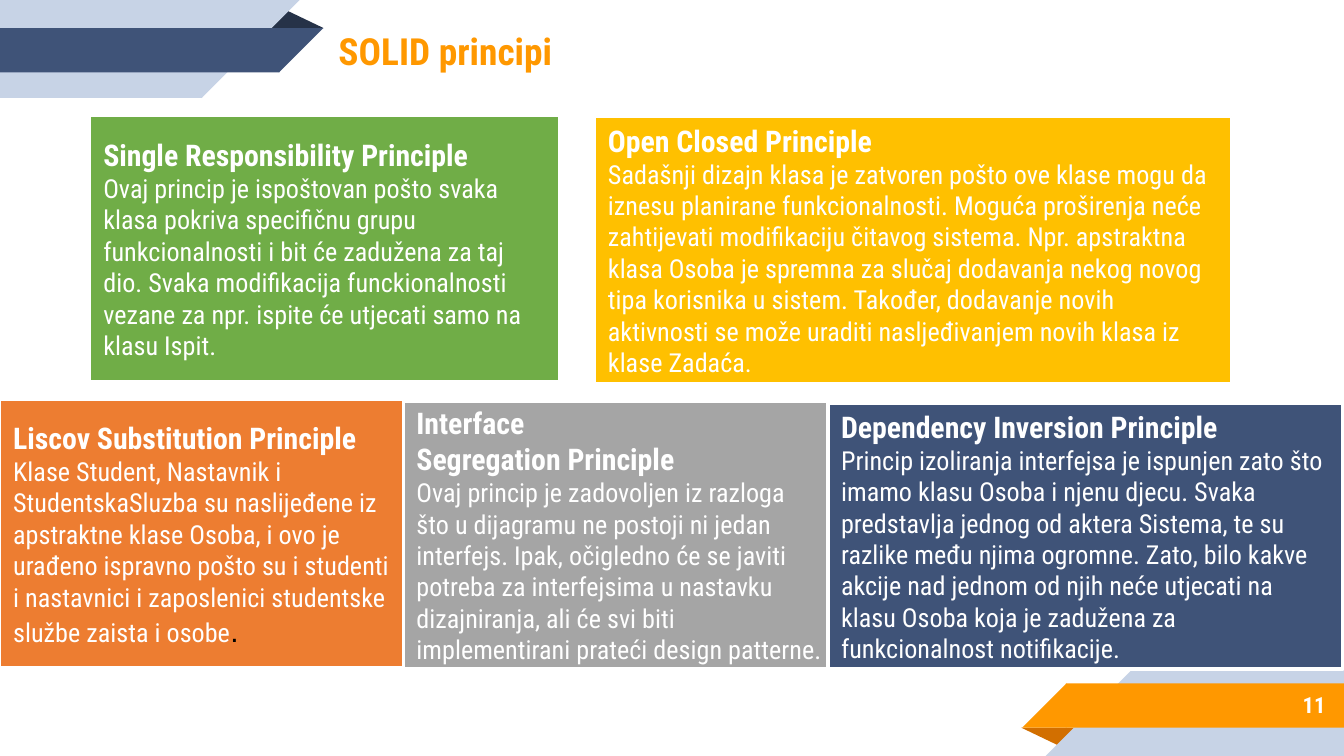
import pptx
import pptx.dml.color
import pptx.enum.shapes
import pptx.enum.text
import pptx.util

SCALE = 4572
HUES = {
    "white": "FFFFFF", "black": "000000", "pale": "C7D3E6", "navy": "3F5378",
    "night": "263248", "amber": "FF9800", "rust": "D26F00", "green": "70AD47",
    "gold": "FFC000", "coral": "ED7D31", "grey": "A5A5A5",
}
FONT = "Roboto Condensed"
HEAD = {"size": 16, "bold": True, "name": FONT, "hue": "white"}
BODY = {"size": 14, "bold": False, "name": FONT, "hue": "white"}
DOT = {"size": 16, "bold": False, "name": "Arial", "hue": "black"}
TITLE = {"size": 20, "bold": True, "name": FONT, "hue": "amber"}
PAGE = {"size": 12, "bold": True, "name": FONT, "hue": "white"}

SHAPE = pptx.enum.shapes.MSO_SHAPE
ALIGN = pptx.enum.text.PP_ALIGN
MIDDLE = pptx.enum.text.MSO_ANCHOR.MIDDLE

CARDS = [
    ((134, 172, 699, 396), "green", 1.5, ["Single Responsibility Principle"],
     "Ovaj princip je ispoštovan pošto svaka klasa pokriva specifičnu grupu "
     "funkcionalnosti i bit će zadužena za taj dio. Svaka modifikacija "
     "funckionalnosti vezane za npr. ispite će utjecati samo na klasu Ispit.", ""),
    ((885, 174, 947, 396), "gold", 1, ["Open Closed Principle"],
     "Sadašnji dizajn klasa je zatvoren pošto ove klase mogu da iznesu planirane "
     "funkcionalnosti. Moguća proširenja neće zahtijevati modifikaciju čitavog "
     "sistema. Npr. apstraktna klasa Osoba je spremna za slučaj dodavanja nekog "
     "novog tipa korisnika u sistem. Također, dodavanje novih aktivnosti se može "
     "uraditi nasljeđivanjem novih klasa iz klase Zadaća.", ""),
    ((0, 596, 600, 397), "coral", 1, ["Liscov Substitution Principle"],
     "Klase Student, Nastavnik i StudentskaSluzba su naslijeđene iz apstraktne "
     "klase Osoba, i ovo je urađeno ispravno pošto su i studenti i nastavnici i "
     "zaposlenici studentske službe zaista i osobe", "."),
    ((600, 597, 644, 398), "grey", 1.5, ["Interface", "Segregation Principle"],
     "Ovaj princip je zadovoljen iz razloga što u dijagramu ne postoji ni jedan "
     "interfejs. Ipak, očigledno će se javiti potreba za interfejsima u nastavku "
     "dizajniranja, ali će svi biti implementirani prateći design patterne.", ""),
    ((1232, 600, 766, 396), "navy", 2, ["Dependency Inversion Principle"],
     "Princip izoliranja interfejsa je ispunjen zato što imamo klasu Osoba i njenu "
     "djecu. Svaka predstavlja jednog od aktera Sistema, te su razlike među njima "
     "ogromne. Zato, bilo kakve akcije nad jednom od njih neće utjecati na klasu "
     "Osoba koja je zadužena za funkcionalnost notifikacije.", ""),
]


def px(count):
    return pptx.util.Emu(count * SCALE)


def tint(name):
    return pptx.dml.color.RGBColor.from_string(HUES[name])


def block(slide, kind, box, hue):
    shape = slide.shapes.add_shape(kind, *map(px, box))
    shape.shadow.inherit = False
    shape.fill.solid()
    shape.fill.fore_color.rgb = tint(hue)
    shape.line.fill.background()
    return shape


def write(frame, paras, align=ALIGN.LEFT):
    for key, value in {"word_wrap": True, "vertical_anchor": MIDDLE}.items():
        setattr(frame, key, value)
    for index, runs in enumerate(paras):
        para = frame.add_paragraph() if index else frame.paragraphs[0]
        para.alignment = align
        for text, style in runs:
            run = para.add_run()
            run.text = text
            form = dict(style)
            run.font.color.rgb = tint(form.pop("hue"))
            form["size"] = pptx.util.Pt(form["size"])
            for key, value in form.items():
                setattr(run.font, key, value)


def ribbon(slide, box, fold, band, turned):
    left, top, width, height = box
    parts = [
        (SHAPE.ISOSCELES_TRIANGLE, (396, 14, 86, 28), fold, 0),
        (SHAPE.RECTANGLE, (0, 0, 301, 146), "pale", 0),
        (SHAPE.RIGHT_TRIANGLE, (300, 0, 146, 146), "pale", 90),
        (SHAPE.RECTANGLE, (0, 42, 416, 66), band, 0),
        (SHAPE.RIGHT_TRIANGLE, (415, 42, 66, 66), band, 90),
    ]
    for kind, (x, y, wide, high), hue, angle in parts:
        if turned:
            x, y, angle = width - x - wide, height - y - high, angle + 180
        shape = block(slide, kind, (left + x, top + y, wide, high), hue)
        shape.rotation = angle
        if kind == SHAPE.ISOSCELES_TRIANGLE:
            shape.adjustments[0] = 0.32


def label(slide, box, text, style, align):
    frame = slide.shapes.add_textbox(*map(px, box)).text_frame
    for side in ("left", "top", "right", "bottom"):
        setattr(frame, "margin_" + side, px(20))
    write(frame, [[(text, style)]], align)


def card(slide, box, hue, edge, heads, body, dot):
    shape = block(slide, SHAPE.RECTANGLE, box, hue)
    shape.line.color.rgb = tint("white")
    shape.line.width = pptx.util.Pt(edge)
    tail = [(body, BODY)] + ([(dot, DOT)] if dot else [])
    write(shape.text_frame, [[(head, HEAD)] for head in heads] + [tail])


def main():
    deck = pptx.Presentation()
    deck.slide_width, deck.slide_height = px(2000), px(1125)
    slide = deck.slides.add_slide(deck.slide_layouts[6])
    ribbon(slide, (0, 0, 482, 146), "night", "navy", False)
    ribbon(slide, (1520, 979, 482, 146), "rust", "amber", True)
    label(slide, (484, 0, 1532, 150), "SOLID principi", TITLE, ALIGN.LEFT)
    label(slide, (1666, 1014, 326, 70), "11", PAGE, ALIGN.RIGHT)
    for item in CARDS:
        card(slide, *item)
    deck.save("out.pptx")


if __name__ == "__main__":
    main()
